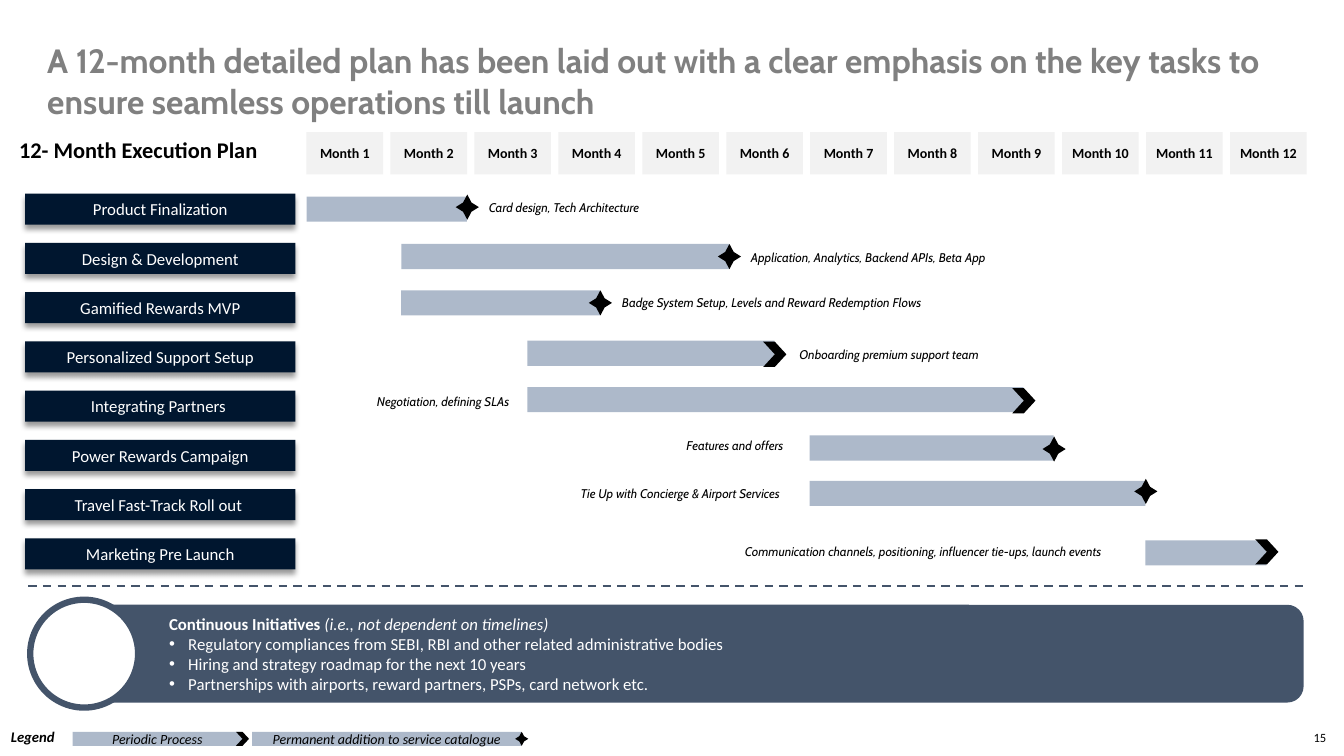
from lxml import etree
from pptx import Presentation
from pptx.dml.color import RGBColor
from pptx.enum.dml import MSO_LINE
from pptx.enum.shapes import MSO_CONNECTOR, MSO_SHAPE as SHAPE
from pptx.enum.text import MSO_ANCHOR as ANCHOR, PP_ALIGN as ALIGN
from pptx.oxml import parse_xml
from pptx.oxml.ns import nsdecls, qn
from pptx.util import Inches, Pt

COLORS = {
    "navy": "00162F", "slate": "44546A", "bar": "ADB9CA", "month": "F2F2F2",
    "black": "000000", "white": "FFFFFF", "title": "808080",
}
RGB = {name: RGBColor.from_string(value) for name, value in COLORS.items()}

deck = Presentation()
deck.slide_width, deck.slide_height = Inches(13.33), Inches(7.5)
slide = deck.slides.add_slide(deck.slide_layouts[6])


def add_block(kind, left, top, width, height, fill):
    block = slide.shapes.add_shape(
        kind, Inches(left), Inches(top), Inches(width), Inches(height))
    block.shadow.inherit = False
    block.fill.solid()
    block.fill.fore_color.rgb = RGB[fill]
    block.line.fill.background()
    if kind == SHAPE.STAR_4_POINT:
        block.adjustments[0] = 0.259
    return block


def write(text, size, color="black", block=None, box=None, font="Calibri",
          bold=False, italic=False, wrap=True, side=0.1):
    holder = block or slide.shapes.add_textbox(*map(Inches, box))
    frame = holder.text_frame
    frame.word_wrap = wrap
    if block:
        frame.vertical_anchor = ANCHOR.MIDDLE
        frame.margin_left = frame.margin_right = Inches(side)
        frame.paragraphs[0].alignment = ALIGN.CENTER
    run = frame.paragraphs[0].add_run()
    run.text = text
    run.font.name, run.font.size = font, Pt(size)
    run.font.bold, run.font.italic = bold, italic
    run.font.color.rgb = RGB[color]


write("A 12-month detailed plan has been laid out with a clear emphasis on the key "
      "tasks to ensure seamless operations till launch", 24, "title",
      box=(0.37, 0.35, 12.72, 0.91), font="Cabin", bold=True)
write("12- Month Execution Plan", 16, box=(0.09, 1.3, 3.08, 0.37), bold=True)

for month in range(12):
    header = add_block(SHAPE.RECTANGLE, 3.04 + month * 9.16 / 11, 1.31, 0.76, 0.42, "month")
    write(f"Month {month + 1}", 10, block=header, bold=True, side=0)

STAR, CHEVRON = SHAPE.STAR_4_POINT, SHAPE.CHEVRON
tasks = [
    ("Product Finalization", (3.04, 1.95, 1.59), STAR, 1.93,
     (4.75, 1.93, 2.63), "Card design, Tech Architecture"),
    ("Design & Development", (3.98, 2.42, 3.25), STAR, 2.42,
     (7.35, 2.43, 3.65), "Application, Analytics, Backend APIs, Beta App"),
    ("Gamified Rewards MVP", (3.98, 2.88, 1.97), STAR, 2.88,
     (6.07, 2.88, 3.65), "Badge System Setup, Levels and Reward Redemption Flows"),
    ("Personalized Support Setup", (5.23, 3.38, 2.45), CHEVRON, 3.39,
     (7.83, 3.39, 3.65), "Onboarding premium support team"),
    ("Integrating Partners ", (5.23, 3.84, 4.92), CHEVRON, 3.85,
     (3.64, 3.86, 3.65), "Negotiation, defining SLAs"),
    ("Power Rewards Campaign", (8.03, 4.32, 2.42), STAR, 4.33,
     (6.71, 4.29, 3.65), "Features and offers"),
    ("Travel Fast-Track Roll out ", (8.03, 4.77, 3.33), STAR, 4.75,
     (5.66, 4.77, 3.65), "Tie Up with Concierge & Airport Services"),
    ("Marketing Pre Launch", (11.36, 5.36, 1.2), CHEVRON, 5.35,
     (7.29, 5.35, 4.82),
     "Communication channels, positioning, influencer tie-ups, launch events"),
]
for row, (task, span, marker, marker_top, note_at, note) in enumerate(tasks):
    label = add_block(SHAPE.RECTANGLE, 0.25, 1.92 + row * 3.42 / 7, 2.68, 0.31, "navy")
    write(task, 12, "white", block=label)
    effects = label._element.spPr.find(qn("a:effectLst"))
    effects.append(parse_xml(
        f'<a:outerShdw {nsdecls("a")} blurRad="{Pt(4)}" dist="{Pt(3)}" dir="5400000" '
        f'algn="t" rotWithShape="0"><a:srgbClr val="{COLORS["black"]}">'
        '<a:alpha val="40000"/></a:srgbClr></a:outerShdw>'))
    start, top, length = span
    add_block(SHAPE.RECTANGLE, start, top, length, 0.25, "bar")
    add_block(marker, start + length - 0.11, marker_top, 0.23, 0.25, "black")
    write(note, 9, box=(*note_at, 0.25), font="Cabin", italic=True)

divider = slide.shapes.add_connector(
    MSO_CONNECTOR.STRAIGHT, Inches(0.28), Inches(5.81), Inches(12.98), Inches(5.81))
divider.line.color.rgb = RGB["slate"]
divider.line.width = Pt(1.5)
divider.line.dash_style = MSO_LINE.DASH
etree.SubElement(divider._element.spPr, qn("a:effectLst"))

initiatives = add_block(SHAPE.ROUNDED_RECTANGLE, 0.73, 6, 12.2, 0.97, "slate")
frame = initiatives.text_frame
frame.word_wrap = True
frame.vertical_anchor = ANCHOR.MIDDLE
frame.margin_left = Inches(0.9)
lines = [
    [("Continuous Initiatives ", True, False),
     ("(i.e., not dependent on timelines)", False, True)],
    [("Regulatory compliances from SEBI, RBI and other related administrative bodies",
      False, False)],
    [("Hiring and strategy roadmap for the next 10 years", False, False)],
    [("Partnerships with airports, reward partners, PSPs, card network etc.", False, False)],
]
for index, runs in enumerate(lines):
    line = frame.add_paragraph() if index else frame.paragraphs[0]
    line.alignment = ALIGN.LEFT
    if index:
        layout = line._p.get_or_add_pPr()
        layout.set("marL", str(Inches(0.19)))
        layout.set("indent", str(-Inches(0.19)))
        etree.SubElement(layout, qn("a:buFont"), typeface="Arial")
        etree.SubElement(layout, qn("a:buChar"), char="•")
    for text, bold, italic in runs:
        run = line.add_run()
        run.text = text
        run.font.name, run.font.size = "Calibri", Pt(12)
        run.font.bold, run.font.italic = bold, italic
        run.font.color.rgb = RGB["white"]

ring = add_block(SHAPE.OVAL, 0.3, 5.95, 1.07, 1.07, "white")
ring.line.color.rgb = RGB["slate"]
ring.line.width = Pt(4.5)

write("Legend", 10.5, box=(0.01, 7.17, 0.65, 0.29), bold=True, italic=True, wrap=False)
for meaning, left, width, marker in [
    ("Periodic Process", 0.72, 1.68, CHEVRON),
    ("Permanent addition to service catalogue", 2.5, 2.67, STAR),
]:
    key = add_block(SHAPE.RECTANGLE, left, 7.26, width, 0.14, "bar")
    write(meaning, 10, block=key, italic=True, side=0)
    add_block(marker, left + width - 0.06, 7.26, 0.13, 0.14, "black")

write("15", 9, box=(12.93, 7.19, 0.33, 0.25), wrap=False)

deck.save("out.pptx")
